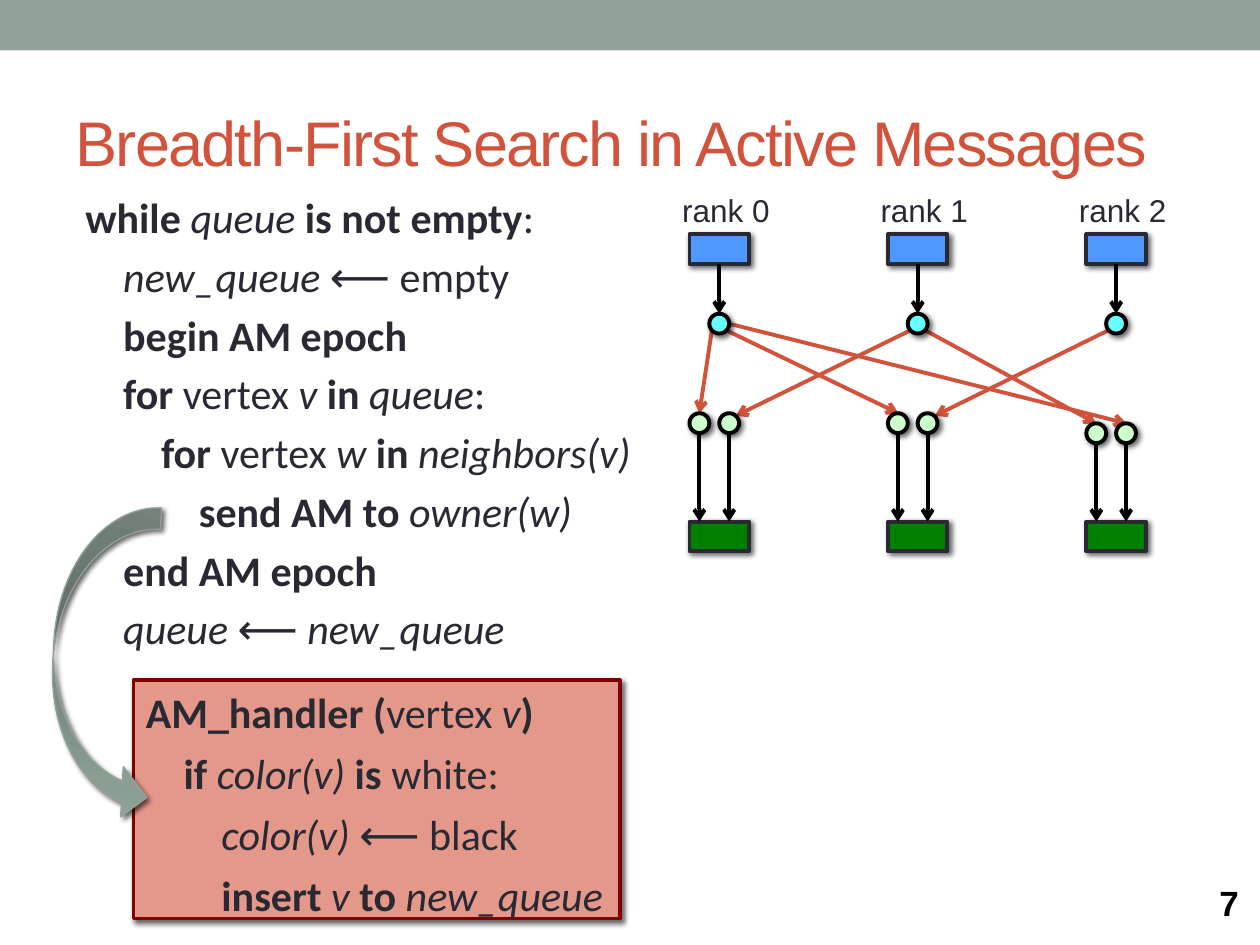
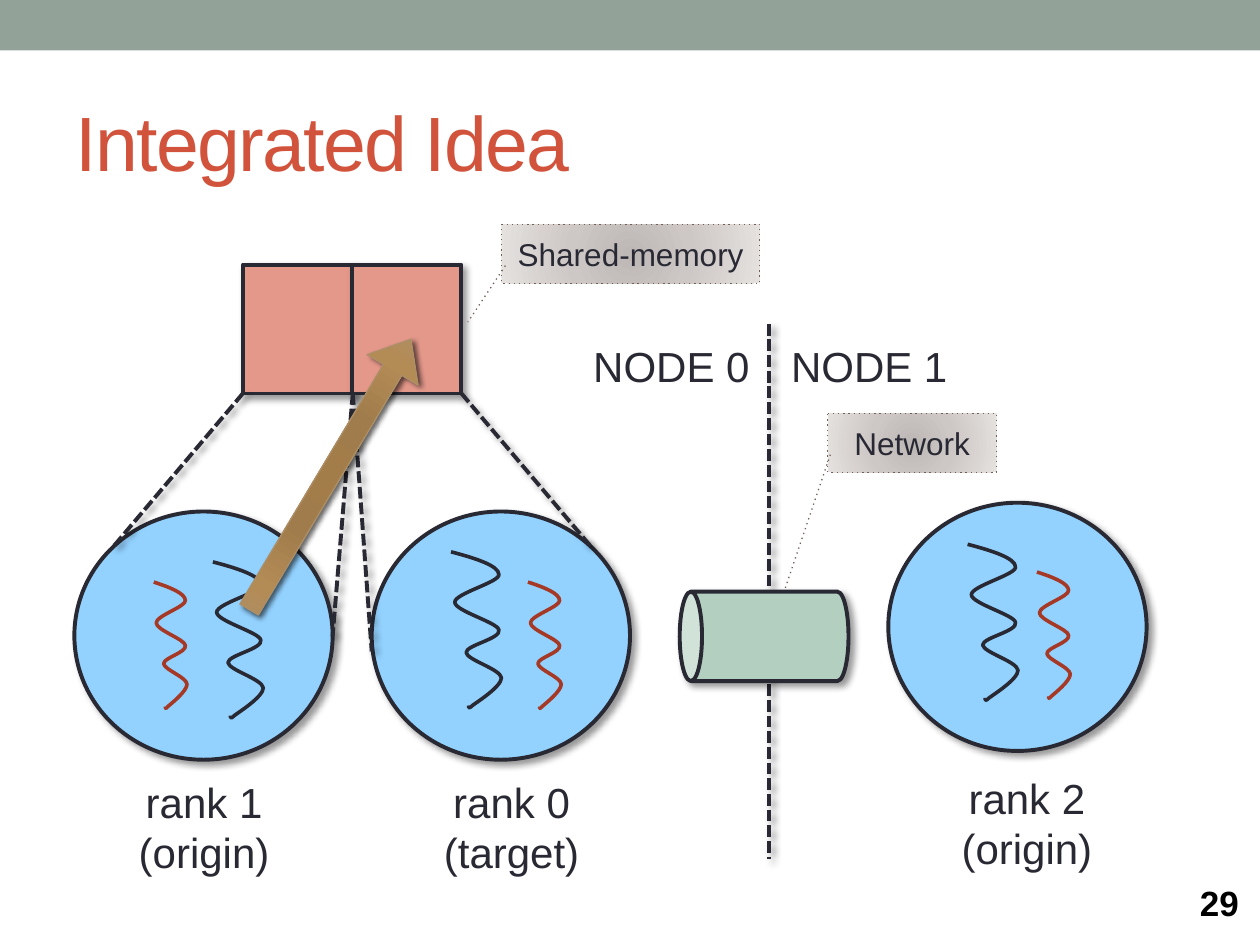
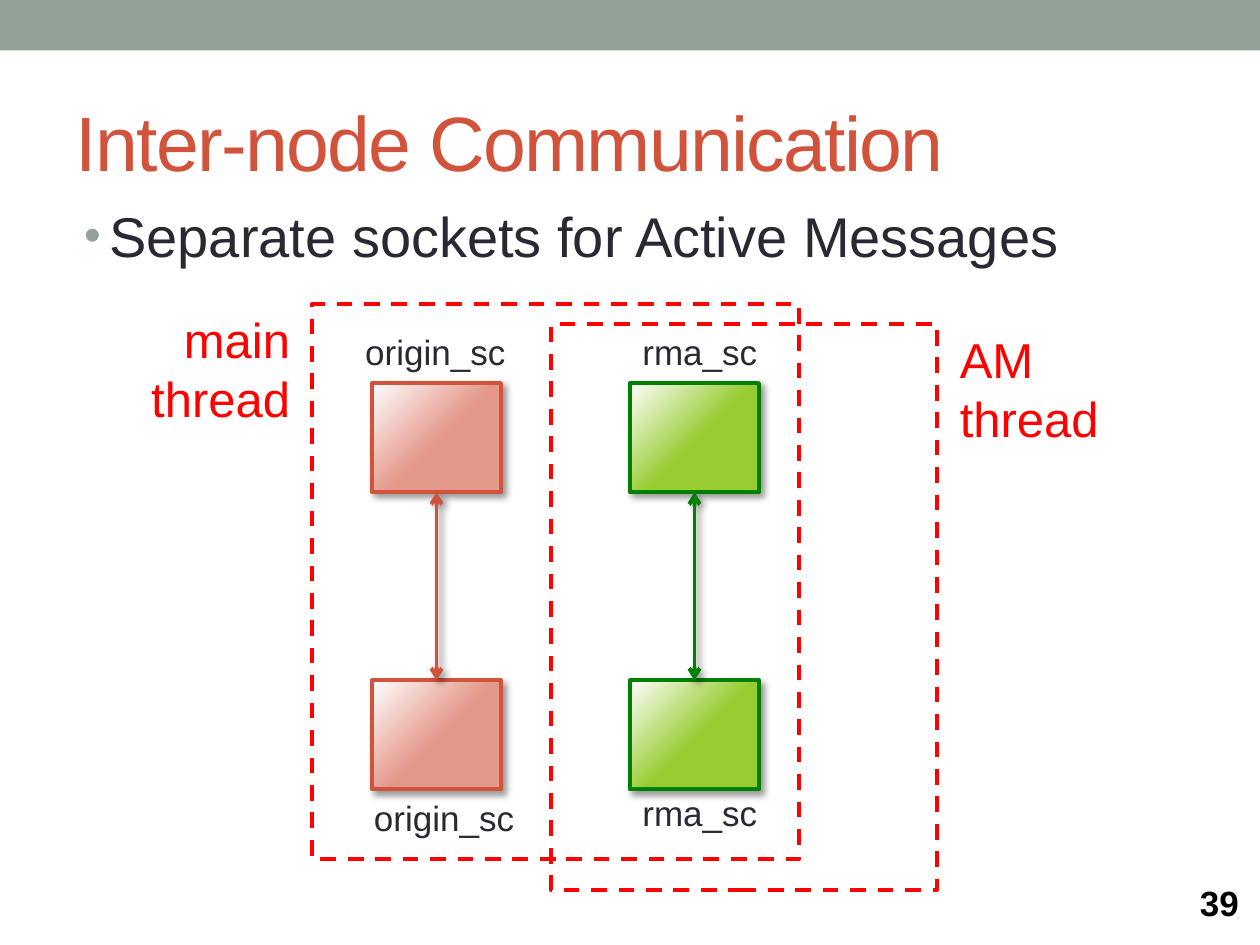
import pptx
import pptx.util
import pptx.dml.color
import pptx.enum.shapes
import pptx.enum.text
import pptx.oxml
import pptx.oxml.ns
import lxml.etree

SHAPE = pptx.enum.shapes.MSO_SHAPE
ALIGN = pptx.enum.text.PP_ALIGN
ANCHOR = pptx.enum.text.MSO_ANCHOR
inch = pptx.util.Inches
qn = pptx.oxml.ns.qn
MM = 1 / 25.4

# Shared colours, shadows (opacity, blur, distance) and gradients (stops, focus l t r b)
INK, RUST, SAGE, SALMON = "292934", "D2533C", "93A299", "E4988A"
BLACK, RED, GREEN = "000000", "FF0000", "008000"
CRISP, SOFT = (60, 3, 2), (40, 4, 3)
CENTRE, CORNER = (100, 100, 100, 100), (100, 100, 0, 0)
SAGE_FADE = ([(0, "7B8E82"), (34, "7B8D83"), (70, "8A9E92"), (100, SAGE)], CENTRE)
BROWN_FADE = ([(0, "A37D49"), (34, "A07C4C"), (70, "B38B55"), (100, "AD8F67")], CENTRE)
GREY_FADE = ([(0, "BDB8B6"), (45, "CDC7C5"), (100, "E4E1DF")], CENTRE)

# Thread squiggle from (0, 0): three Bezier points for each curve
SQUIGGLE = [(.19, .05), (.38, .11), (.38, .18), (.39, .24), (.03, .33), (.03, .40),
            (.03, .47), (.37, .56), (.38, .62), (.40, .69), (.12, .74), (.12, .80),
            (.13, .86), (.39, .93), (.40, 1.00), (.40, 1.07), (.21, 1.19), (.17, 1.22),
            (.13, 1.26), (.14, 1.22), (.14, 1.22)]


def draw(page, kind, place, fill=None, line=None, width=2.25, dash=None,
         ends=(), shadow=None, adjust=(), turn=0):
    """Add a preset shape, a "line" (x1, y1, x2, y2) or a "squiggle" (x, y, scales)."""
    if kind == "line":
        item = page.shapes.add_connector(pptx.enum.shapes.MSO_CONNECTOR.STRAIGHT,
                                         *map(inch, place))
    elif kind == "squiggle":
        left, top, stretch_x, stretch_y = place
        outline = page.shapes.build_freeform(inch(left), inch(top))
        outline.add_line_segments([(inch(left + x * stretch_x), inch(top + y * stretch_y))
                                   for x, y in SQUIGGLE], close=False)
        item = outline.convert_to_shape()
        # Join each three segments into one curve
        segments = list(item.element.iter(qn("a:lnTo")))
        for first in range(0, len(segments), 3):
            curve = lxml.etree.Element(qn("a:cubicBezTo"))
            segments[first].addprevious(curve)
            for segment in segments[first:first + 3]:
                curve.append(segment[0])
                segment.getparent().remove(segment)
    else:
        item = page.shapes.add_shape(kind, *map(inch, place))
        item.rotation = turn
        for index, value in enumerate(adjust):
            item.adjustments[index] = value
    properties = item.element.spPr

    if kind != "line":
        item.fill.background()
        if isinstance(fill, tuple):
            stops, focus = fill
            gradient = pptx.oxml.parse_xml(
                f'<a:gradFill {pptx.oxml.ns.nsdecls("a")} rotWithShape="1"><a:gsLst>'
                + "".join(f'<a:gs pos="{at * 1000}"><a:srgbClr val="{color}"/></a:gs>'
                          for at, color in stops)
                + '</a:gsLst><a:path path="circle"><a:fillToRect '
                + " ".join(f'{side}="{share * 1000}"' for side, share in zip("ltrb", focus))
                + '/></a:path></a:gradFill>')
            properties.replace(properties.find(qn("a:noFill")), gradient)
        elif fill:
            item.fill.solid()
            item.fill.fore_color.rgb = pptx.dml.color.RGBColor.from_string(fill)

    if line:
        item.line.color.rgb = pptx.dml.color.RGBColor.from_string(line)
        item.line.width = pptx.util.Pt(width)
        stroke = properties.find(qn("a:ln"))
        if dash:
            lxml.etree.SubElement(stroke, qn("a:prstDash"), val=dash)
        for end in ends:
            lxml.etree.SubElement(stroke, qn(f"a:{end}End"), type="arrow")
    else:
        item.line.fill.background()

    effects = lxml.etree.SubElement(properties, qn("a:effectLst"))
    if shadow:
        opacity, blur, distance = shadow
        outer = lxml.etree.SubElement(
            effects, qn("a:outerShdw"), blurRad=str(pptx.util.Pt(blur)),
            dist=str(pptx.util.Pt(distance)), dir="2700000", algn="tl", rotWithShape="0")
        shade = lxml.etree.SubElement(outer, qn("a:srgbClr"), val=BLACK)
        lxml.etree.SubElement(shade, qn("a:alpha"), val=str(opacity * 1000))
    return item


def write(target, lines, place=None, size=24, color=INK, font="Arial", bold=False,
          align=ALIGN.LEFT, anchor=ANCHOR.TOP, before=0, spacing=0, bullet=None):
    """Fill a shape, or a new text box at place; a line is text or (level, runs)."""
    box = target.shapes.add_textbox(*map(inch, place)) if place else target
    frame = box.text_frame
    frame.word_wrap = True
    frame.vertical_anchor = anchor
    for number, line in enumerate(lines):
        level, runs = (0, [(line, "")]) if isinstance(line, str) else line
        para = frame.add_paragraph() if number else frame.paragraphs[0]
        para.alignment = align
        para.space_before = pptx.util.Pt(before)
        layout = para._p.get_or_add_pPr()
        if level:
            layout.set("marL", str(inch(0.3 * level)))
        if bullet:
            layout.set("marL", str(inch(0.2)))
            layout.set("indent", str(-inch(0.2)))
            tint = lxml.etree.SubElement(layout, qn("a:buClr"))
            lxml.etree.SubElement(tint, qn("a:srgbClr"), val=SAGE)
            lxml.etree.SubElement(layout, qn("a:buSzPct"), val="85000")
            lxml.etree.SubElement(layout, qn("a:buFont"), typeface=font)
            lxml.etree.SubElement(layout, qn("a:buChar"), char=bullet)
        for text, style in runs:
            span = para.add_run()
            span.text = text
            span.font.name = font
            span.font.size = pptx.util.Pt(size)
            span.font.bold = bold or style == "b"
            span.font.italic = style == "i"
            span.font.color.rgb = pptx.dml.color.RGBColor.from_string(color)
            if spacing:
                span.font._element.set("spc", str(spacing * 100))
    return box


deck = pptx.Presentation()
deck.slide_width, deck.slide_height = inch(10), inch(7.5)

# Title and page number of every slide
pages = []
for title, size, number in [("Breadth-First Search in Active Messages", 36, "7"),
                            ("Integrated Idea", 44, "29"),
                            ("Inter-node Communication", 44, "39")]:
    page = deck.slides.add_slide(deck.slide_layouts[5])
    heading = page.shapes.title
    heading.left, heading.top, heading.width, heading.height = map(inch, (0.5, 0.58, 9, 1.08))
    write(heading, [title], size=size, color=RUST, anchor=ANCHOR.MIDDLE, spacing=-1)
    heading.text_frame.auto_size = pptx.enum.text.MSO_AUTO_SIZE.NONE
    write(page, [number], (9.42, 6.98, 0.51, 0.36), size=20, color=BLACK, bold=True,
          align=ALIGN.RIGHT, anchor=ANCHOR.MIDDLE)
    pages.append(page)
search, idea, sockets = pages

# The band belongs to the slide master, behind its placeholders
band = draw(search, SHAPE.RECTANGLE, (0, 0, 10, 0.4), fill=SAGE)
deck.slide_master.shapes.element.insert(2, band.element)

# Search: messages between ranks, under the vertices
for message in [(8.8, 2.62, 7.42, 3.3), (7.34, 2.62, 8.7, 3.36), (7.23, 2.62, 5.84, 3.3),
                (5.79, 2.57, 8.94, 3.36), (5.76, 2.62, 7.13, 3.28), (5.65, 2.62, 5.55, 3.28)]:
    draw(search, "line", message, line=RUST, ends=["tail"])

# Search: pseudocode
write(search, [
    (0, [("while ", "b"), ("queue ", "i"), ("is not empty", "b"), (":", "")]),
    (1, [("new_queue ", "i"), ("⟵ empty", "")]),
    (1, [("begin AM epoch", "b")]),
    (1, [("for", "b"), (" vertex ", ""), ("v ", "i"), ("in ", "b"), ("queue", "i"), (":", "")]),
    (2, [("for", "b"), (" vertex ", ""), ("w ", "i"), ("in ", "b"), ("neighbors(v)", "i")]),
    (3, [("send AM to ", "b"), ("owner(w)", "i")]),
    (1, [("end AM epoch", "b")]),
    (1, [("queue ", "i"), ("⟵ ", ""), ("new_queue", "i")]),
], (0.58, 1.47, 9, 3.59), font="Calibri", before=4.8)
handler = draw(search, SHAPE.RECTANGLE, (1.06, 5.4, 3.86, 1.89), SALMON, "800000", shadow=CRISP)
write(handler, [
    (0, [("AM_handler (", "b"), ("vertex ", ""), ("v", "i"), (")", "b")]),
    (1, [("if ", "b"), ("color(v) ", "i"), ("is", "b"), (" white:", "")]),
    (2, [("color(v) ", "i"), ("⟵ black", "")]),
    (2, [("insert ", "b"), ("v ", "i"), ("to ", "b"), ("new_queue", "i")]),
], font="Calibri", before=6)
draw(search, SHAPE.CURVED_RIGHT_ARROW, (0.42, 4.01, 0.8, 2.5), SAGE_FADE, SAGE, 0.75,
     shadow=CRISP, adjust=(0.213, 0.5, 0.25), turn=2.9)

# Search: one column for each rank, on a millimetre grid
DOT, BAR_WIDTH, BAR_HEIGHT = 4 * MM, 12 * MM, 6 * MM
for rank in range(3):
    left = (139 + 40 * rank) * MM
    middle = left + BAR_WIDTH / 2
    write(search, [f"rank {rank}"], (left - 4 * MM, 1.47, 0.94 if rank == 2 else 1.02, 0.4),
          size=18)
    source = draw(search, SHAPE.RECTANGLE, (left, 1.86, BAR_WIDTH, BAR_HEIGHT), "4E98FF", INK,
                  shadow=CRISP)
    vertex = draw(search, SHAPE.OVAL, (middle - DOT / 2, 2.49, DOT, DOT), "66FFFF", BLACK,
                  shadow=CRISP)
    step = draw(search, "line", (middle, 2.1, middle, 2.49), line=BLACK, ends=["tail"])
    step.begin_connect(source, 2)
    step.end_connect(vertex, 0)
    draw(search, SHAPE.RECTANGLE, (left, 4.14, BAR_WIDTH, BAR_HEIGHT), GREEN, INK, shadow=CRISP)
    top = 3.36 if rank == 2 else 3.28
    for x in (left, middle):
        draw(search, SHAPE.OVAL, (x, top, DOT, DOT), "CCFFCC", BLACK, shadow=CRISP)
        draw(search, "line", (x + DOT / 2, top + DOT, x + DOT / 2, 4.14), line=BLACK,
             ends=["tail"])

# Idea: node border, callouts and shared memory
draw(idea, "line", (6.1, 2.57, 6.1, 6.82), line=INK, dash="sysDash", shadow=SOFT)
for text, place, tip in [("Network", (6.57, 3.28, 1.34, 0.47), (3.36, -0.3)),
                         ("Shared-memory", (3.98, 1.78, 2.05, 0.47), (1.65, -0.13))]:
    callout = draw(idea, SHAPE.LINE_CALLOUT_1, place, GREY_FADE, "726056", 0.75, dash="dot",
                   adjust=(0.7, 0.015, *tip))
    write(callout, [text], size=18, align=ALIGN.CENTER, anchor=ANCHOR.MIDDLE)
for left in (49 * MM, 71 * MM):
    draw(idea, SHAPE.RECTANGLE, (left, 2.1, 22 * MM, 26 * MM), SALMON, INK, shadow=SOFT)

# Idea: ranks with label place and (left, top) of the dark and the red thread
for left, top, label, label_at, dark, red in [
        (2.95, 4.06, ["rank 0", "(target)"], (3.35, 6.11), (3.58, 4.38), (4.19, 4.62)),
        (0.59, 4.06, ["rank 1", "(origin)"], (0.91, 6.11), (1.69, 4.46), (1.22, 4.62)),
        (7.05, 3.99, ["rank 2", "(origin)"], (7.44, 6.08), (7.68, 4.32), (8.23, 4.54))]:
    draw(idea, SHAPE.OVAL, (left, top, 2.05, 1.97), "93D2FF", INK, shadow=SOFT)
    draw(idea, "squiggle", (*dark, 1, 1), line=INK, width=2.08)
    draw(idea, "squiggle", (*red, 0.66, 0.81), line="A53926", width=2.08)
    write(idea, label, (*label_at, 1.42, 0.91), align=ALIGN.CENTER)
for ray in [(2.8, 3.12, 2.64, 5.05), (2.8, 3.12, 2.95, 5.17),
            (1.93, 3.12, 0.89, 4.35), (3.66, 3.12, 4.7, 4.35)]:
    draw(idea, "line", ray, line=INK, dash="sysDash", shadow=SOFT)

# Idea: nodes, network pipe and direct access
for node, left in enumerate((4.61, 6.18)):
    write(idea, [f"NODE {node}"], (left, 2.65, 1.73, 0.5))
draw(idea, SHAPE.CAN, (5.71, 4.38, 0.71, 1.34), "B3CFBF", INK, shadow=SOFT, turn=270)
draw(idea, SHAPE.RIGHT_ARROW, (1.37, 3.53, 2.5, 0.47), BROWN_FADE, "AD8F67", 0.75,
     shadow=CRISP, adjust=(0.363, 0.603), turn=300.9)

# Sockets: statement and linked pairs
write(sockets, ["Separate sockets for Active Messages"], (0.57, 1.55, 9, 0.75), size=32,
      before=6.4, bullet="•")
for name, left, color, edge, labels in [
        ("origin_sc", 75 * MM, SALMON, RUST, [(2.8, 2.57), (2.87, 6.27)]),
        ("rma_sc", 127 * MM, "99CC33", GREEN, [(5, 2.57), (5, 6.23)])]:
    fade = ([(48, color), (100, "FFFFFF")], CORNER)
    upper, lower = [draw(sockets, SHAPE.RECTANGLE, (left, top, 26 * MM, 22 * MM), fade, edge,
                         shadow=SOFT) for top in (3.04, 5.4)]
    link = draw(sockets, "line", (left + 13 * MM, 3.91, left + 13 * MM, 5.4), line=edge,
                ends=["head", "tail"], shadow=SOFT)
    link.begin_connect(upper, 2)
    link.end_connect(lower, 0)
    for label_at in labels:
        write(sockets, [name], (*label_at, 1.5, 0.44), size=20)

# Sockets: threads
for place, label, label_at, align in [
        ((2.48, 2.41, 3.86, 4.41), ["main thread"], (1.06, 2.41), ALIGN.RIGHT),
        ((4.37, 2.57, 3.07, 4.49), ["AM", "thread"], (7.52, 2.57), ALIGN.LEFT)]:
    draw(sockets, SHAPE.RECTANGLE, place, line=RED, dash="dash")
    write(sockets, label, (*label_at, 1.34, 1.04), size=28, color=RED, align=align)

deck.save("out.pptx")
